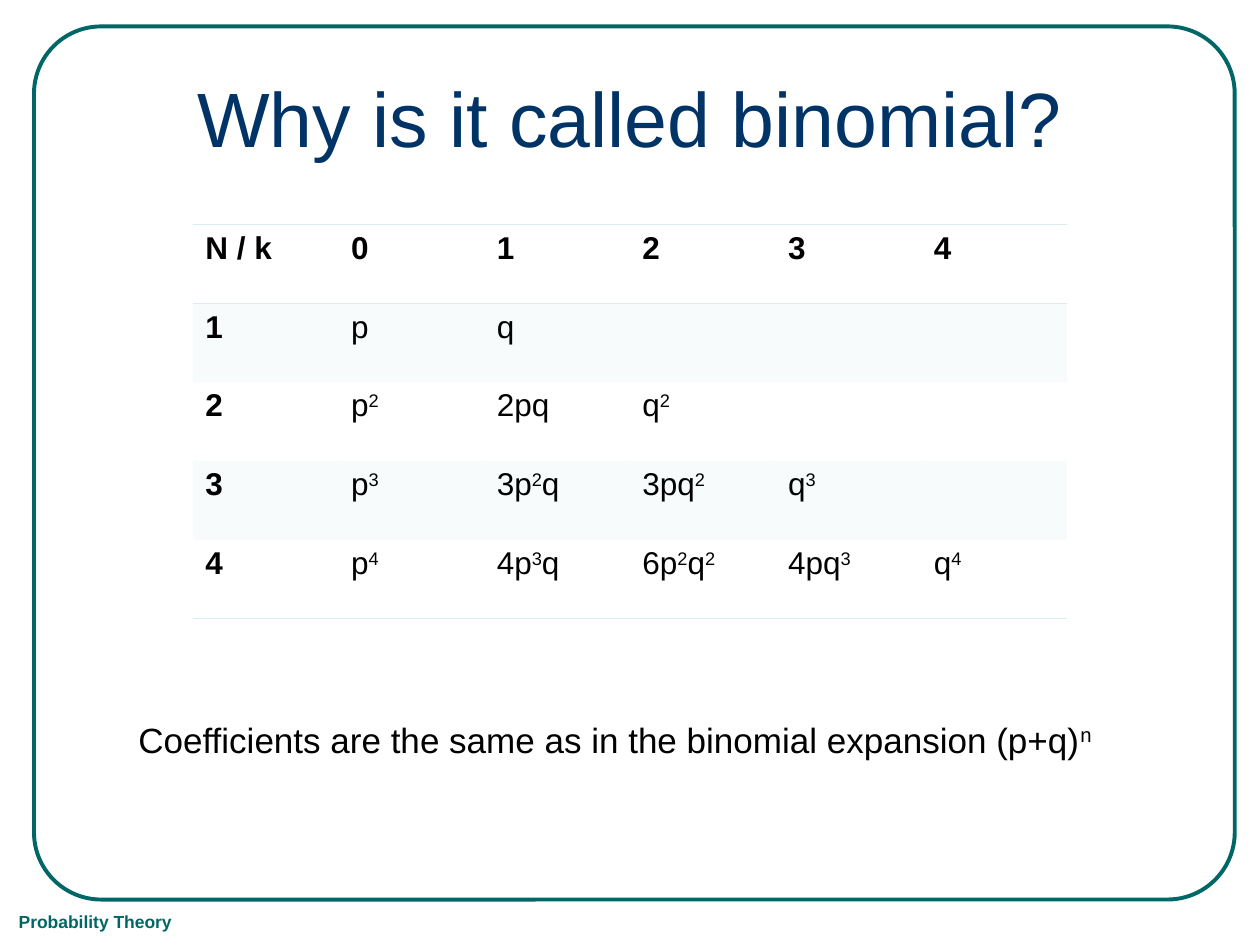
from dataclasses import dataclass

from lxml.etree import SubElement
from pptx import Presentation
from pptx.dml.color import RGBColor
from pptx.enum.shapes import MSO_SHAPE
from pptx.enum.text import MSO_ANCHOR, PP_ALIGN
from pptx.oxml import parse_xml
from pptx.oxml.ns import nsdecls, qn
from pptx.table import _Cell
from pptx.text.text import _Paragraph
from pptx.util import Inches, Pt


@dataclass(frozen=True)
class Theme:
    font: str = "Arial"
    frame: str = "006666"
    title: str = "003366"
    text: str = "000000"
    band: str = "DAEDEF"
    band_opacity: int = 20
    frame_width: float = 2.25
    rule_width: float = 0.45
    title_size: int = 44
    body_size: int = 20
    table_size: int = 18
    footer_size: int = 10


@dataclass(frozen=True)
class TextBlock:
    text: str
    box: tuple[float, float, float, float]
    size: int
    color: str
    bold: bool = False
    align: PP_ALIGN = PP_ALIGN.LEFT
    anchor: MSO_ANCHOR = MSO_ANCHOR.TOP


THEME = Theme()
NO_STYLE_NO_GRID = "{2D5ABB26-0587-4C30-8999-92F81FD0307C}"

FOOTER = TextBlock("Probability Theory", (0.05, 7.18, 1.6, 0.27),
                   THEME.footer_size, THEME.frame, bold=True)
TITLE = TextBlock("Why is it called binomial?", (0.5, 0.3, 9, 1.25),
                  THEME.title_size, THEME.title,
                  align=PP_ALIGN.CENTER, anchor=MSO_ANCHOR.MIDDLE)
CONCLUSION = TextBlock("Coefficients are the same as in the binomial expansion (p+q)^n",
                       (1, 5.65, 9, 0.98), THEME.body_size, THEME.text)

BINOMIAL_TERMS = [
    ["N / k", "0", "1", "2", "3", "4"],
    ["1", "p", "q", "", "", ""],
    ["2", "p^2", "2pq", "q^2", "", ""],
    ["3", "p^3", "3p^2q", "3pq^2", "q^3", ""],
    ["4", "p^4", "4p^3q", "6p^2q^2", "4pq^3", "q^4"],
]


def write_text(paragraph: _Paragraph, text: str, size: int, color: str, bold: bool) -> None:
    """Write text in which ^ raises the one character after it."""
    first, *raised = text.split("^")
    pieces = [(first, False)]
    for part in raised:
        pieces += [(part[0], True), (part[1:], False)]
    font_format = {"name": THEME.font, "size": Pt(size), "bold": bold}
    for piece, superscript in pieces:
        if not piece:
            continue
        run = paragraph.add_run()
        run.text = piece
        for name, value in font_format.items():
            setattr(run.font, name, value)
        run.font.color.rgb = RGBColor.from_string(color)
        if superscript:
            run.font._element.set("baseline", "30000")


def add_text_block(slide, block: TextBlock) -> None:
    text_box = slide.shapes.add_textbox(*map(Inches, block.box))
    frame_format = {"word_wrap": True, "vertical_anchor": block.anchor}
    for name, value in frame_format.items():
        setattr(text_box.text_frame, name, value)
    paragraph = text_box.text_frame.paragraphs[0]
    paragraph.alignment = block.align
    write_text(paragraph, block.text, block.size, block.color, block.bold)


def add_frame(slide) -> None:
    shape = slide.shapes.add_shape(
        MSO_SHAPE.ROUNDED_RECTANGLE, *map(Inches, (0.27, 0.21, 9.53, 6.93)))
    shape.adjustments[0] = 0.077
    shape.shadow.inherit = False
    shape.fill.background()
    shape.line.color.rgb = RGBColor.from_string(THEME.frame)
    shape.line.width = Pt(THEME.frame_width)


def fill_band(cell: _Cell) -> None:
    cell.fill.solid()
    cell.fill.fore_color.rgb = RGBColor.from_string(THEME.band)
    color = cell._tc.tcPr.find(f"{qn('a:solidFill')}/{qn('a:srgbClr')}")
    SubElement(color, qn("a:alpha"), val=str(THEME.band_opacity * 1000))


def set_borders(cell: _Cell, ruled_sides: str) -> None:
    """Rule the given sides and clear the others, ahead of the cell fill."""
    solid = f'<a:solidFill><a:srgbClr val="{THEME.band}"/></a:solidFill>'
    for index, side in enumerate("LRTB"):
        paint = solid if side in ruled_sides else "<a:noFill/>"
        border = parse_xml(f'<a:ln{side} {nsdecls("a")} w="{Pt(THEME.rule_width)}">'
                           f'{paint}</a:ln{side}>')
        cell._tc.get_or_add_tcPr().insert(index, border)


def add_binomial_table(slide) -> None:
    row_count, column_count = len(BINOMIAL_TERMS), len(BINOMIAL_TERMS[0])
    table = slide.shapes.add_table(
        row_count, column_count, *map(Inches, (1.53, 1.78, 6.94, 3.13))).table
    table.first_row = table.horz_banding = False
    table._tbl.tblPr.find(qn("a:tableStyleId")).text = NO_STYLE_NO_GRID
    rules = {0: "TB", 1: "T", row_count - 1: "B"}
    for row, terms in enumerate(BINOMIAL_TERMS):
        for column, term in enumerate(terms):
            cell = table.cell(row, column)
            if row % 2:
                fill_band(cell)
            else:
                cell.fill.background()
            set_borders(cell, rules.get(row, ""))
            write_text(cell.text_frame.paragraphs[0], term, THEME.table_size,
                       THEME.text, bold=row == 0 or column == 0)


def main() -> None:
    presentation = Presentation()
    presentation.slide_width, presentation.slide_height = Inches(10), Inches(7.5)
    slide = presentation.slides.add_slide(presentation.slide_layouts[6])
    add_frame(slide)
    add_text_block(slide, FOOTER)
    add_text_block(slide, TITLE)
    add_binomial_table(slide)
    add_text_block(slide, CONCLUSION)
    presentation.save("out.pptx")


if __name__ == "__main__":
    main()
